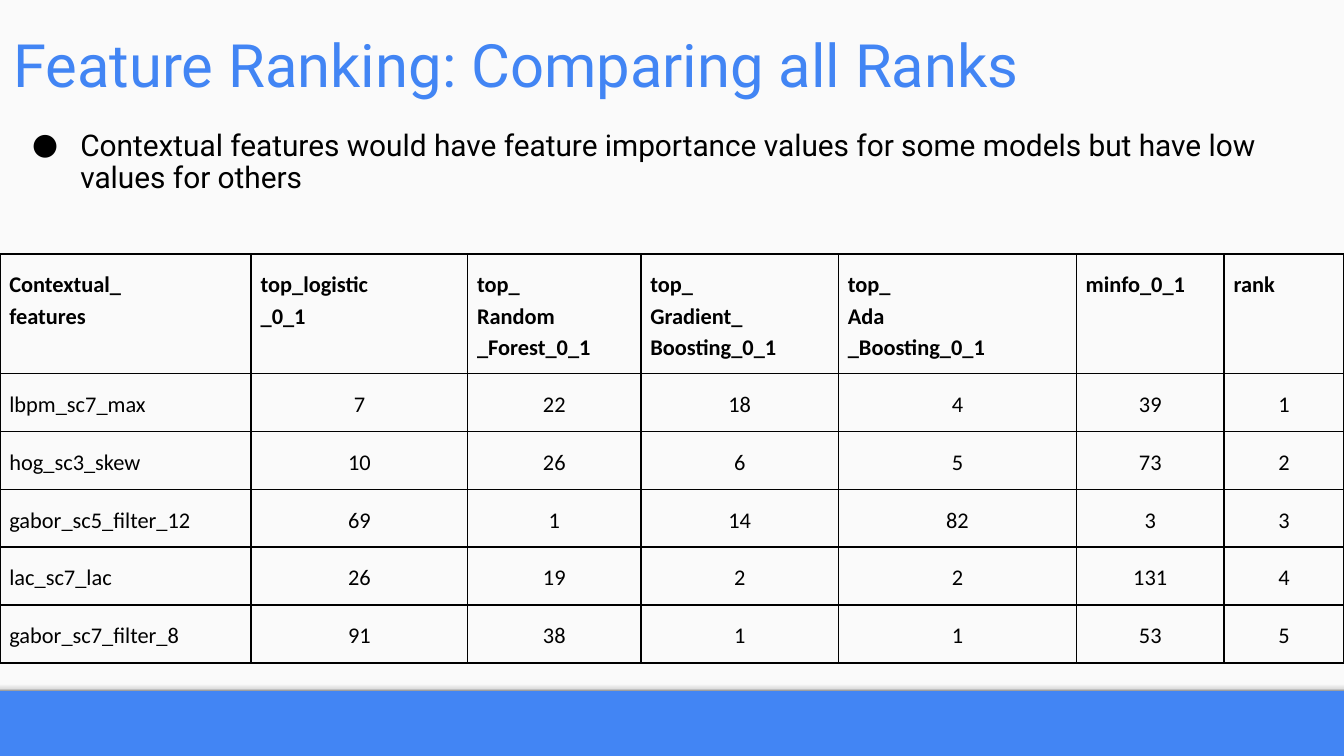
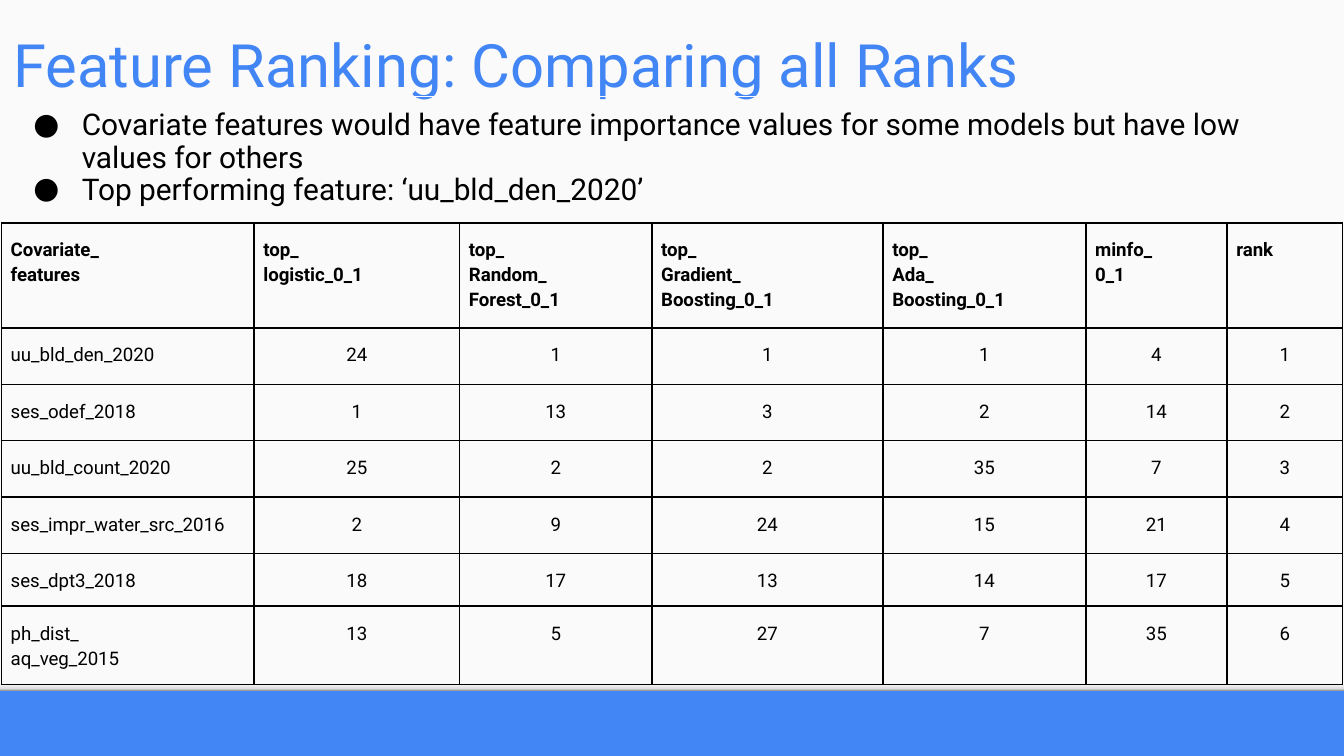
from lxml import etree
from pptx import Presentation
from pptx.dml.color import RGBColor
from pptx.enum.shapes import MSO_SHAPE as Shape
from pptx.enum.text import MSO_ANCHOR as Anchor, MSO_AUTO_SIZE as AutoSize, PP_ALIGN as Align
from pptx.oxml import parse_xml
from pptx.oxml.ns import nsdecls, qn
from pptx.util import Inches, Pt

BLUE = RGBColor(0x42, 0x85, 0xF4)
PAPER = RGBColor(0xFA, 0xFA, 0xFA)
BLACK = RGBColor(0, 0, 0)
SHADOW_STOPS = [(0, "F9F9F9"), (36, "F9F9F9"), (80, "DEDEDE"), (100, "999999")]
TITLE = "Feature Ranking: Comparing all Ranks"

CONTEXTUAL = {
    "bullets": ["Contextual features would have feature importance values "
                "for some models but have low values for others"],
    "bullet_box": (0, 0.87, 9.94, 1.03),
    "position": (0, 1.89),
    "widths": [1.87, 1.61, 1.29, 1.47, 1.77, 1.1, 0.89],
    "heights": [0.89] + [0.43] * 5,
    "font": "Calibri",
    "size": 12,
    "rows": [
        ["Contextual_\nfeatures", "top_logistic\n_0_1", "top_\nRandom\n_Forest_0_1",
         "top_\nGradient_\nBoosting_0_1", "top_\nAda\n_Boosting_0_1", "minfo_0_1", "rank"],
        ["lbpm_sc7_max", 7, 22, 18, 4, 39, 1],
        ["hog_sc3_skew", 10, 26, 6, 5, 73, 2],
        ["gabor_sc5_filter_12", 69, 1, 14, 82, 3, 3],
        ["lac_sc7_lac", 26, 19, 2, 2, 131, 4],
        ["gabor_sc7_filter_8", 91, 38, 1, 1, 53, 5],
    ],
}

COVARIATE = {
    "bullets": ["Covariate features would have feature importance values "
                "for some models but have low values for others",
                "Top performing feature: ‘uu_bld_den_2020’"],
    "bullet_box": (0.01, 0.72, 9.98, 1.27),
    "position": (0.01, 1.66),
    "widths": [1.88, 1.53, 1.43, 1.72, 1.51, 1.05, 0.86],
    "heights": [0.78] + [0.42] * 4 + [0.39, 0.58],
    "font": "Roboto",
    "size": 10,
    "rows": [
        ["Covariate_\nfeatures", "top_\nlogistic_0_1", "top_\nRandom_\nForest_0_1",
         "top_\nGradient_\nBoosting_0_1", "top_\nAda_\nBoosting_0_1", "minfo_\n0_1", "rank"],
        ["uu_bld_den_2020", 24, 1, 1, 1, 4, 1],
        ["ses_odef_2018", 1, 13, 3, 2, 14, 2],
        ["uu_bld_count_2020", 25, 2, 2, 35, 7, 3],
        ["ses_impr_water_src_2016", 2, 9, 24, 15, 21, 4],
        ["ses_dpt3_2018", 18, 17, 13, 14, 17, 5],
        ["ph_dist_\naq_veg_2015", 13, 5, 27, 7, 35, 6],
    ],
}


def add_bullet(paragraph, font):
    properties = paragraph._p.get_or_add_pPr()
    properties.set("marL", str(Inches(0.5)))
    properties.set("indent", str(Inches(-0.36)))
    color = etree.SubElement(properties, qn("a:buClr"))
    etree.SubElement(color, qn("a:srgbClr"), val=str(BLACK))
    etree.SubElement(properties, qn("a:buFont"), typeface=font)
    etree.SubElement(properties, qn("a:buChar"), char="●")


def write_text(frame, text, size=16, font="Roboto", color=BLACK, bold=False,
               align=Align.LEFT, line_spacing=None, bullet=False):
    """Write each line of text as a paragraph of the frame."""
    for index, line in enumerate(text.split("\n")):
        paragraph = frame.add_paragraph() if index else frame.paragraphs[0]
        if bullet:
            add_bullet(paragraph, font)
        paragraph.alignment = align
        if line_spacing:
            paragraph.line_spacing = line_spacing
        run = paragraph.add_run()
        run.text = line
        run.font.size = Pt(size)
        run.font.name = font
        run.font.bold = bold
        run.font.color.rgb = color


def set_margins(target, horizontal, vertical):
    target.margin_left = target.margin_right = Inches(horizontal)
    target.margin_top = target.margin_bottom = Inches(vertical)


def add_rectangle(slide, box):
    shape = slide.shapes.add_shape(Shape.RECTANGLE, *map(Inches, box))
    shape.shadow.inherit = False
    shape.fill.background()
    shape.line.fill.background()
    return shape


def add_backdrop(slide):
    """Blue page, light panel and the soft shade along the panel's lower edge."""
    slide.background.fill.solid()
    slide.background.fill.fore_color.rgb = BLUE
    panel = add_rectangle(slide, (0, 0, 10, 5.14))
    panel.fill.solid()
    panel.fill.fore_color.rgb = PAPER

    shade = add_rectangle(slide, (0, 5.06, 10, 0.08))
    stops = "".join(f'<a:gs pos="{percent * 1000}"><a:srgbClr val="{color}"/></a:gs>'
                    for percent, color in SHADOW_STOPS)
    gradient = parse_xml(f'<a:gradFill {nsdecls("a")}><a:gsLst>{stops}</a:gsLst>'
                         '<a:lin ang="5400000" scaled="0"/></a:gradFill>')
    properties = shade._element.spPr
    properties.replace(properties.find(qn("a:noFill")), gradient)


def add_title(slide, text):
    frame = slide.shapes.add_textbox(0, 0, Inches(8.99), Inches(0.84)).text_frame
    frame.word_wrap = True
    frame.vertical_anchor = Anchor.BOTTOM
    set_margins(frame, 0.1, 0.1)
    write_text(frame, text, size=32, color=BLUE)


def add_bullets(slide, bullets, box):
    shape = add_rectangle(slide, box)
    shape.line.color.rgb = PAPER
    shape.line.width = Pt(0.75)
    frame = shape.text_frame
    frame.word_wrap = True
    frame.auto_size = AutoSize.SHAPE_TO_FIT_TEXT
    frame.vertical_anchor = Anchor.TOP
    set_margins(frame, 0.1, 0.1)
    write_text(frame, "\n".join(bullets), line_spacing=0.9, bullet=True)


def style_cell(cell):
    properties = cell._tc.get_or_add_tcPr()
    for side in ("lnL", "lnR", "lnT", "lnB"):
        border = etree.SubElement(properties, qn(f"a:{side}"), w=str(Pt(1)))
        fill = etree.SubElement(border, qn("a:solidFill"))
        etree.SubElement(fill, qn("a:srgbClr"), val=str(BLACK))
    cell.fill.background()
    set_margins(cell, 0.07, 0.1)


def add_rank_table(slide, rows, position, widths, heights, font, size):
    left, top = position
    table = slide.shapes.add_table(
        len(rows), len(widths), Inches(left), Inches(top),
        Inches(sum(widths)), Inches(sum(heights))).table
    table.first_row = table.horz_banding = False
    for column, width in zip(table.columns, widths):
        column.width = Inches(width)
    for row, height in zip(table.rows, heights):
        row.height = Inches(height)
    for row_index, values in enumerate(rows):
        for column_index, value in enumerate(values):
            cell = table.cell(row_index, column_index)
            style_cell(cell)
            is_number = row_index > 0 and column_index > 0
            write_text(cell.text_frame, str(value), size=size, font=font,
                       bold=row_index == 0, line_spacing=1.15,
                       align=Align.CENTER if is_number else Align.LEFT)


def add_ranking_slide(presentation, bullets, bullet_box, **table):
    slide = presentation.slides.add_slide(presentation.slide_layouts[6])
    add_backdrop(slide)
    add_title(slide, TITLE)
    add_bullets(slide, bullets, bullet_box)
    add_rank_table(slide, **table)


def main():
    presentation = Presentation()
    presentation.slide_width = Inches(10)
    presentation.slide_height = Inches(10 * 9 / 16)
    for ranking in (CONTEXTUAL, COVARIATE):
        add_ranking_slide(presentation, **ranking)
    presentation.save("out.pptx")


if __name__ == "__main__":
    main()
